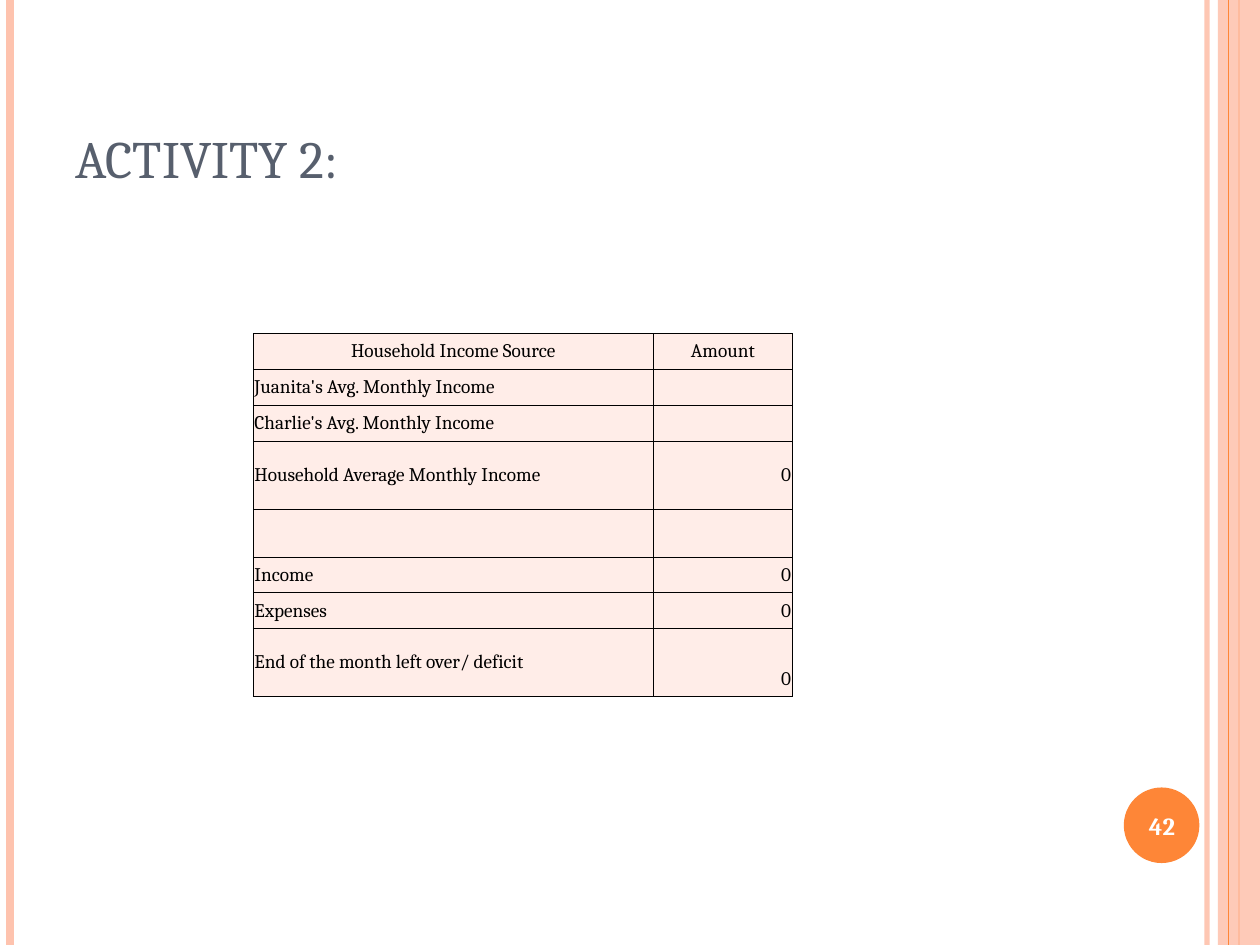
from typing import NamedTuple

from lxml import etree
from pptx import Presentation
from pptx.dml.color import RGBColor
from pptx.enum import shapes, text
from pptx.oxml import ns
from pptx.util import Pt

WHITE = RGBColor(0xFF, 0xFF, 0xFF)
BLACK = RGBColor(0, 0, 0)
PEACH = RGBColor(0xFE, 0xC3, 0xAE)
ORANGE = RGBColor(0xFE, 0x86, 0x37)
SLATE = RGBColor(0x57, 0x5F, 0x6D)
CELL_TINT = RGBColor(0xFF, 0xED, 0xE8)

FONT = "Cambria"
WIDTH, HEIGHT = 720, 540
CELL_SIZE = 11
LEFT, CENTER, RIGHT = text.PP_ALIGN.LEFT, text.PP_ALIGN.CENTER, text.PP_ALIGN.RIGHT
MIDDLE, BOTTOM = text.MSO_ANCHOR.MIDDLE, text.MSO_ANCHOR.BOTTOM


class Stripe(NamedTuple):
    x: float
    weight: float
    color: RGBColor
    opacity: int = 100


class Label(NamedTuple):
    words: str
    box: tuple
    anchor: text.MSO_ANCHOR
    align: text.PP_ALIGN
    font: dict


class BudgetRow(NamedTuple):
    source: str
    amount: str
    height: float = 20.5
    source_align: text.PP_ALIGN = LEFT
    amount_align: text.PP_ALIGN = RIGHT
    amount_anchor: text.MSO_ANCHOR = MIDDLE


OUTER_STRIPES = [Stripe(689.76, 3, PEACH, 93), Stripe(5.9, 4.5, PEACH)]
BAND_STRIPE = Stripe(707.9, 1.5, ORANGE)
FRONT_STRIPE = Stripe(702, 0.75, ORANGE)

TITLE = Label("ACTIVITY 2:", (36, 21.6, 588, 90), BOTTOM, LEFT,
              {"size": Pt(30), "color": SLATE})
PAGE_NUMBER = Label("42", (640, 451.5, 48, 41), MIDDLE, CENTER,
                    {"size": Pt(14), "bold": True, "color": WHITE})

COLUMN_WIDTHS = (228.8, 79.2)
BUDGET = [
    BudgetRow("Household Income Source", "Amount",
              source_align=CENTER, amount_align=CENTER),
    BudgetRow("Juanita's Avg. Monthly Income", ""),
    BudgetRow("Charlie's Avg. Monthly Income", ""),
    BudgetRow("Household Average Monthly Income", "0", 38.9),
    BudgetRow("", "", 27.4),
    BudgetRow("Income", "0", amount_anchor=BOTTOM),
    BudgetRow("Expenses", "0", amount_anchor=BOTTOM),
    BudgetRow("End of the month left over/ deficit", "0", 38.9, amount_anchor=BOTTOM),
]


def set_format(target, values: dict) -> None:
    for key, value in values.items():
        if key == "color":
            target.color.rgb = value
        else:
            setattr(target, key, value)


def set_opacity(fill_parent, percent: int) -> None:
    color = next(fill_parent.iter(ns.qn("a:srgbClr")))
    etree.SubElement(color, ns.qn("a:alpha"), val=str(percent * 1000))


def draw_stripe(slide, stripe: Stripe):
    line = slide.shapes.add_connector(
        shapes.MSO_CONNECTOR.STRAIGHT, Pt(stripe.x), 0, Pt(stripe.x), Pt(HEIGHT))
    set_format(line.line, {"width": Pt(stripe.weight), "color": stripe.color})
    properties = line._element.spPr
    if stripe.opacity < 100:
        set_opacity(properties, stripe.opacity)
    etree.SubElement(properties, ns.qn("a:effectLst"))
    return line


def draw_shape(slide, kind: shapes.MSO_SHAPE, box: tuple, color: RGBColor):
    shape = slide.shapes.add_shape(kind, *map(Pt, box))
    shape.shadow.inherit = False
    shape.fill.solid()
    shape.fill.fore_color.rgb = color
    shape.line.fill.background()
    return shape


def draw_label(slide, label: Label) -> None:
    frame = slide.shapes.add_textbox(*map(Pt, label.box)).text_frame
    set_format(frame, {"word_wrap": True, "vertical_anchor": label.anchor})
    paragraph = frame.paragraphs[0]
    paragraph.alignment = label.align
    run = paragraph.add_run()
    run.text = label.words
    set_format(run.font, {"name": FONT, **label.font})


def fill_cell(cell, words: str, align: text.PP_ALIGN, anchor: text.MSO_ANCHOR) -> None:
    set_format(cell, {"margin_left": Pt(0.7), "margin_right": Pt(0.7),
                      "margin_top": Pt(3.6), "margin_bottom": Pt(3.6),
                      "vertical_anchor": anchor})
    # Borders come before the fill in the cell properties
    properties = cell._tc.get_or_add_tcPr()
    for side in ("lnL", "lnR", "lnT", "lnB"):
        border = etree.SubElement(properties, ns.qn(f"a:{side}"), w=str(Pt(0.45)))
        solid = etree.SubElement(border, ns.qn("a:solidFill"))
        etree.SubElement(solid, ns.qn("a:srgbClr"), val=str(BLACK))
    cell.fill.solid()
    cell.fill.fore_color.rgb = CELL_TINT

    paragraph = cell.text_frame.paragraphs[0]
    paragraph.alignment = align
    if words:
        run = paragraph.add_run()
        run.text = words
        set_format(run.font, {"name": FONT, "size": Pt(CELL_SIZE), "color": BLACK})
    else:
        # Keeps an empty cell from stretching its row
        etree.SubElement(paragraph._p, ns.qn("a:endParaRPr"), sz=str(CELL_SIZE * 100))


def draw_budget(slide, left: float, top: float) -> None:
    table = slide.shapes.add_table(
        len(BUDGET), len(COLUMN_WIDTHS), Pt(left), Pt(top),
        Pt(sum(COLUMN_WIDTHS)), Pt(sum(row.height for row in BUDGET))).table
    set_format(table, {"first_row": False, "horz_banding": False})
    for column, width in zip(table.columns, COLUMN_WIDTHS):
        column.width = Pt(width)
    for index, row in enumerate(BUDGET):
        table.rows[index].height = Pt(row.height)
        fill_cell(table.cell(index, 0), row.source, row.source_align, MIDDLE)
        fill_cell(table.cell(index, 1), row.amount, row.amount_align, row.amount_anchor)


def main() -> None:
    deck = Presentation()
    set_format(deck, {"slide_width": Pt(WIDTH), "slide_height": Pt(HEIGHT)})
    slide = deck.slides.add_slide(deck.slide_layouts[6])

    # Side decoration
    for stripe in OUTER_STRIPES:
        draw_stripe(slide, stripe)
    band_stripe = draw_stripe(slide, BAND_STRIPE)
    band = draw_shape(slide, shapes.MSO_SHAPE.RECTANGLE, (696, 0, 24, HEIGHT), PEACH)
    set_opacity(band._element.spPr, 87)
    band_stripe.begin_connect(band, 0)
    band_stripe.end_connect(band, 2)
    draw_stripe(slide, FRONT_STRIPE)
    draw_shape(slide, shapes.MSO_SHAPE.OVAL, (642.2, 450, 43.2, 43.2), ORANGE)

    # Title, table and page number
    draw_label(slide, TITLE)
    draw_budget(slide, 144.7, 190.5)
    draw_label(slide, PAGE_NUMBER)

    deck.save("out.pptx")


if __name__ == "__main__":
    main()
